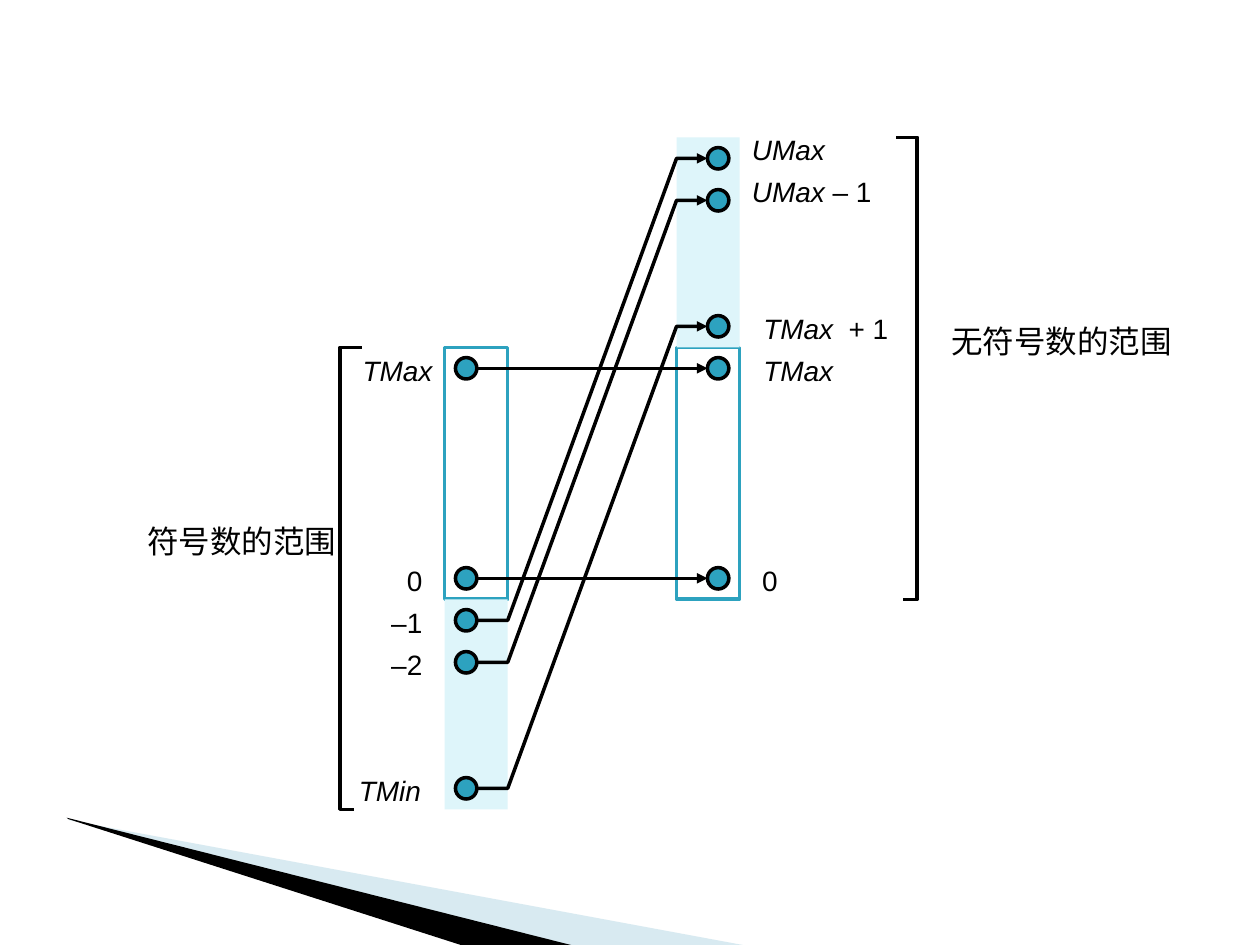
from lxml import etree
from pptx import Presentation
from pptx.dml.color import RGBColor
from pptx.enum import shapes, text
from pptx.oxml import ns
from pptx.util import Inches, Pt

COLORS = {"black": "000000", "white": "FFFFFF", "teal": "2DA2BF",
          "pale": "DEF5FA", "wedge": "9FCBDC"}
STEP = 1 / 3          # height of one number row
COL_W = 0.5
COL_GAP = 1.84        # left edge of one column to the left edge of the other
DOT = 0.17
DOT_X = {"signed": 0.17, "unsigned": 0.33}    # dot centre inside its column

# row, label, left offset from the label side of the column, vertical nudge
SIGNED = [(5, [("TMax", True)], 0), (10, [("0", False)], 0.08),
          (11, [("–1", False)], 0.08), (12, [("–2", False)], 0.08),
          (15, [("TMin", True)], 0.09)]
UNSIGNED = [(0, [("UMax", True)], 0, -0.08),
            (1, [("UMax", True), (" – 1", False)], 0, -0.08),
            (4, [("TMax  ", True), ("+ 1", False)], 0.09, 0),
            (5, [("TMax", True)], 0.09, 0), (10, [("0", False)], 0.08, 0)]
STRAIGHT = [5, 10]
BENT = [(11, 0), (12, 1), (15, 4)]


def rgb(name):
    return RGBColor.from_string(COLORS[name])


def style(sp, fill=None, line=None):
    sp.shadow.inherit = False
    if fill:
        sp.fill.solid()
        sp.fill.fore_color.rgb = rgb(fill)
    else:
        sp.fill.background()
    if line:
        sp.line.color.rgb = rgb(line)
        sp.line.width = Pt(2)
    else:
        sp.line.fill.background()


def add_preset(s, kind, x, y, w, h, fill, line=None):
    sp = s.shapes.add_shape(kind, Inches(x), Inches(y), Inches(w), Inches(h))
    style(sp, fill, line)


def add_path(s, points, fill=None, line=None):
    pts = [(Inches(x), Inches(y)) for x, y in points]
    builder = s.shapes.build_freeform(*pts[0])
    builder.add_line_segments(pts[1:], close=bool(fill))
    sp = builder.convert_to_shape()
    style(sp, fill, line)
    return sp


def add_arrowhead(sp):
    ln = sp.line._get_or_add_ln()
    etree.SubElement(ln, ns.qn("a:tailEnd"), type="triangle")


def add_label(s, x, y, w, runs, size=16, align=text.PP_ALIGN.LEFT):
    """Add one line of text; runs are (text, italic) pairs."""
    tb = s.shapes.add_textbox(Inches(x), Inches(y), Inches(w), Inches(0.37))
    tf = tb.text_frame
    tf.word_wrap = True
    p = tf.paragraphs[0]
    p.alignment = align
    for words, italic in runs:
        r = p.add_run()
        r.text = words
        r.font.name = "Arial"
        r.font.size = Pt(size)
        r.font.italic = italic
        r.font.color.rgb = rgb("black")


def add_corner(s, x, y):
    """Draw the two wedges at the foot of the slide."""
    pale = add_path(s, [(x + 0.02, y + 0.02), (x + 5.42, y + 1.02),
                        (x + 4.03, y + 1.02), (x + 0.02, y + 0.01)], "wedge")
    color = pale.fill._xPr.find(".//" + ns.qn("a:srgbClr"))
    etree.SubElement(color, ns.qn("a:alpha"), val="40000")
    add_path(s, [(x, y), (x + 4.04, y + 1.02), (x + 3.19, y + 1.03),
                 (x + 0.01, y + 0.01)], "black")


def add_columns(s, x, y):
    rect = shapes.MSO_SHAPE.RECTANGLE
    shared = y + 5 * STEP
    for left in (x + COL_GAP, x):
        add_preset(s, rect, left, shared, COL_W, 6 * STEP, "white", "teal")
    for left, top in ((x, y + 11 * STEP), (x + COL_GAP, y)):
        add_preset(s, rect, left, top, COL_W, 5 * STEP, "pale")


def add_mapping(s, x, y):
    """Draw dots, labels and arrows; x, y is the top left of the row grid."""
    def mid(row):
        return y + (row + 0.5) * STEP

    def add_dot(cx, row):
        add_preset(s, shapes.MSO_SHAPE.OVAL, cx - DOT / 2, mid(row) - DOT / 2,
                   DOT, DOT, "teal", "black")

    signed_x = x + DOT_X["signed"]
    unsigned_x = x + COL_GAP + DOT_X["unsigned"]
    for row, runs, inset in SIGNED:
        add_dot(signed_x, row)
        add_label(s, x - inset - 0.83, mid(row) - 0.17, 0.83, runs,
                  align=text.PP_ALIGN.RIGHT)
    for row, runs, inset, nudge in UNSIGNED:
        add_dot(unsigned_x, row)
        add_label(s, x + COL_GAP + COL_W + inset, mid(row) - 0.17 + nudge,
                  1.5, runs)

    start, end = signed_x + DOT / 2, unsigned_x - DOT / 2
    for row in STRAIGHT:
        cn = s.shapes.add_connector(
            shapes.MSO_CONNECTOR.STRAIGHT, Inches(start), Inches(mid(row)),
            Inches(end), Inches(mid(row)))
        cn.line.color.rgb = rgb("black")
        cn.line.width = Pt(2)
        etree.SubElement(cn._element.spPr, ns.qn("a:effectLst"))
        add_arrowhead(cn)
    for low, high in BENT:
        sp = add_path(s, [(start, mid(low)), (x + COL_W, mid(low)),
                          (x + COL_GAP, mid(high)), (end, mid(high))],
                      line="black")
        add_arrowhead(sp)


def add_range(s, x, y, direction, label, label_x, label_y, label_w):
    """Draw a bracket whose spine is at x; direction 1 opens to the right."""
    bottom = y + 11 * STEP
    add_path(s, [(x + direction * 0.11, bottom), (x, bottom), (x, y),
                 (x + direction * 0.17, y)], line="black")
    add_label(s, label_x, label_y, label_w, [(label, False)], size=18)


def add_diagram(s, x, y):
    add_columns(s, x, y)
    add_mapping(s, x, y)
    add_range(s, x - 0.83, y + 5 * STEP, 1, "符号数的范围",
              x - 2.46, y + 3, 1.75)
    add_range(s, x + 3.75, y, -1, "无符号数的范围", x + 3.92, y + 1.42, 2.2)


def main():
    prs = Presentation()
    prs.slide_width, prs.slide_height = Inches(10), Inches(7.5)
    s = prs.slides.add_slide(prs.slide_layouts[6])
    add_corner(s, 0.53, 6.49)
    add_diagram(s, 3.53, 1.09)
    prs.save("out.pptx")


if __name__ == "__main__":
    main()
